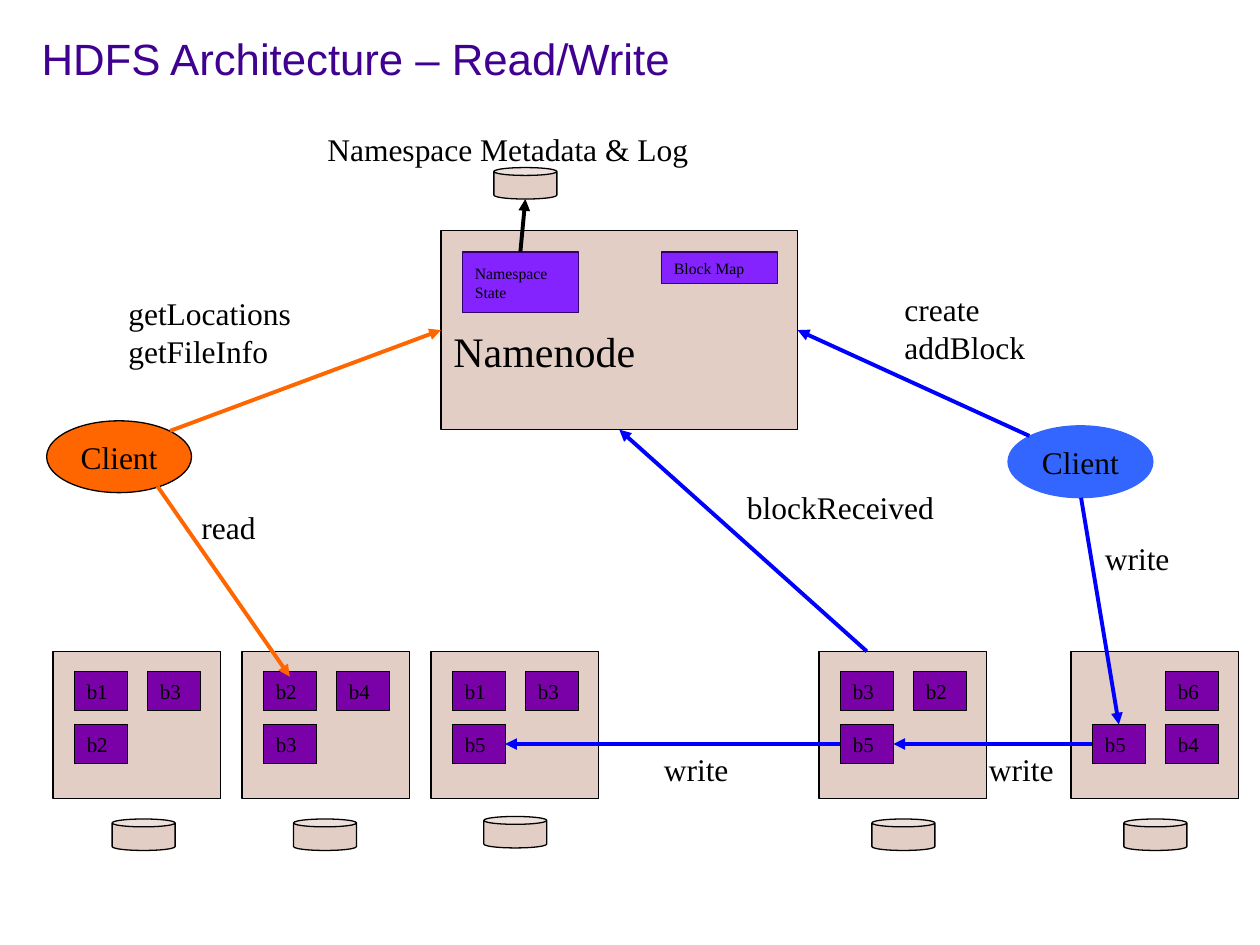
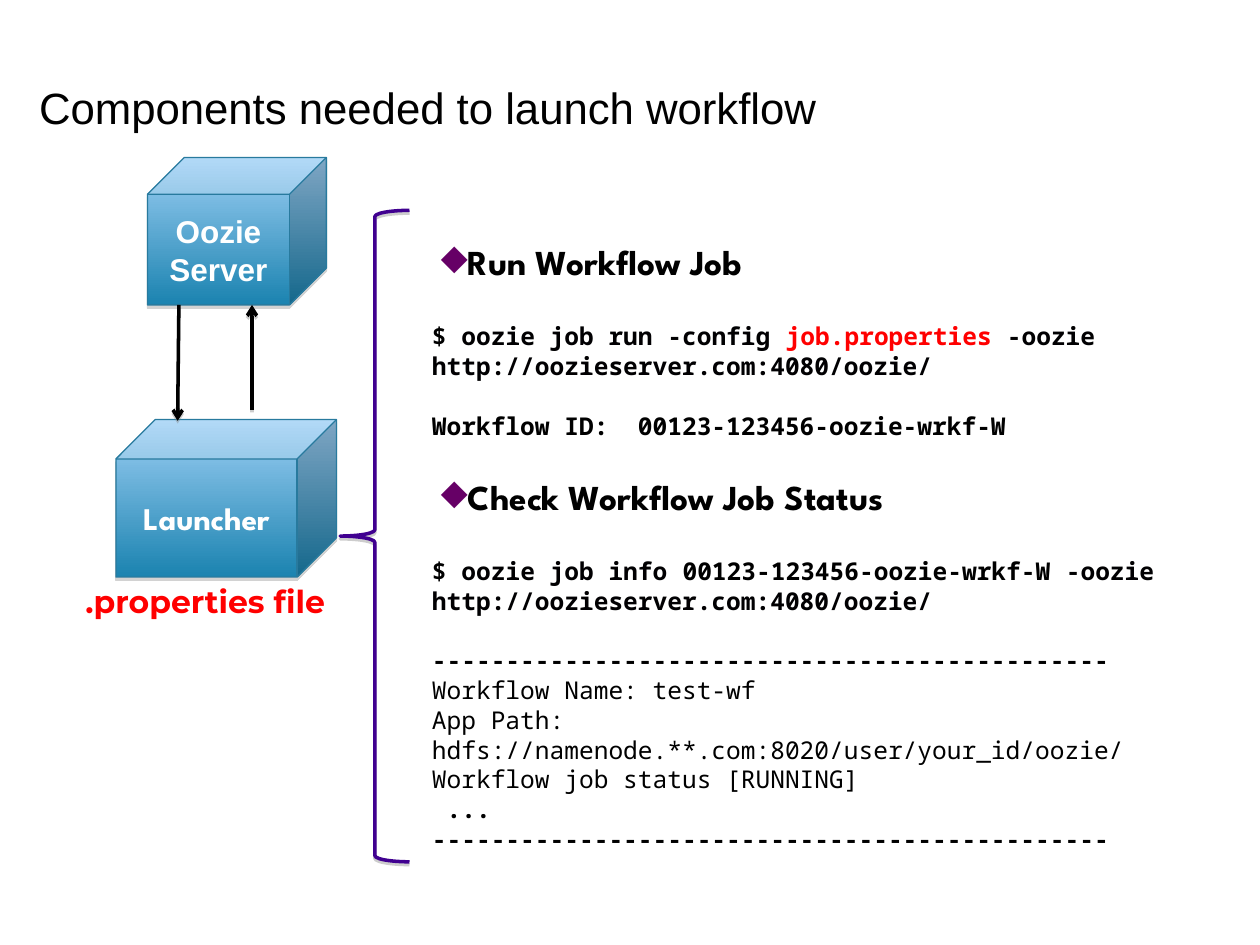
"""Build two slides on HDFS reads and writes and on launching a workflow."""
from dataclasses import dataclass

from lxml import etree
from pptx import Presentation
from pptx.dml.color import RGBColor
from pptx.enum.shapes import MSO_CONNECTOR, MSO_SHAPE
from pptx.enum.text import MSO_ANCHOR, PP_ALIGN
from pptx.oxml.ns import qn
from pptx.util import Inches, Pt

RECTANGLE, OVAL, CAN = MSO_SHAPE.RECTANGLE, MSO_SHAPE.OVAL, MSO_SHAPE.CAN
CUBE, LEFT_BRACE = MSO_SHAPE.CUBE, MSO_SHAPE.LEFT_BRACE
STRAIGHT = MSO_CONNECTOR.STRAIGHT
TOP, MIDDLE, BOTTOM = MSO_ANCHOR.TOP, MSO_ANCHOR.MIDDLE, MSO_ANCHOR.BOTTOM
LEFT, CENTER = PP_ALIGN.LEFT, PP_ALIGN.CENTER
TOP_SIDE, LEFT_SIDE, BOTTOM_SIDE, RIGHT_SIDE = range(4)


@dataclass(frozen=True)
class Theme:
    """Colours, fonts and type sizes of the deck."""
    black: str = "000000"
    white: str = "FFFFFF"
    violet: str = "400090"
    sand: str = "E3CEC6"
    block: str = "7A00A7"
    state: str = "8523FF"
    state_edge: str = "30006C"
    orange: str = "FF6600"
    client_blue: str = "3366FF"
    arrow_blue: str = "0000FF"
    red: str = "FF0000"
    command: str = "010002"
    bullet: str = "660066"
    cube_light: str = "9FD0F5"
    cube_dark: str = "1B83B0"
    cube_edge: str = "287A9E"
    shadow: str = "808080"
    sans: str = "Arial"
    serif: str = "Times New Roman"
    heading: str = "League Spartan"
    accent: str = "Montserrat"
    mono: str = "Noto Sans Mono"
    title_size: float = 25
    node_size: float = 24
    heading_size: float = 20
    label_size: float = 18
    code_size: float = 14
    block_size: float = 12
    state_size: float = 9


THEME = Theme()


def style(name, size, color=THEME.black, bold=False):
    """Return the format values of a run."""
    return {"name": name, "size": Pt(size), "bold": bold, "color": color}


TITLE = style(THEME.sans, THEME.title_size)
LABEL = style(THEME.serif, THEME.label_size)
NODE = style(THEME.serif, THEME.node_size)
BLOCK = style(THEME.serif, THEME.block_size)
STATE = style(THEME.serif, THEME.state_size)
HEADING = style(THEME.heading, THEME.heading_size, bold=True)
OUTPUT = style(THEME.mono, THEME.code_size)
CODE = OUTPUT | {"bold": True}
COMMAND = CODE | {"color": THEME.command}
CUBE_TEXT = style(THEME.sans, THEME.label_size, THEME.white, True)


def rgb(color):
    """Turn a hex string into a colour."""
    return RGBColor.from_string(color)


def add_spans(para, spans):
    """Add (text, style) pairs to a paragraph."""
    for text, values in spans:
        span = para.add_run()
        span.text = text
        for name, value in values.items():
            if name == "color":
                span.font.color.rgb = rgb(value)
            else:
                setattr(span.font, name, value)


def write(box, lines, values, align=LEFT, **frame_values):
    """Write one paragraph per line into a box."""
    frame = box.text_frame
    settings = {"word_wrap": True, "vertical_anchor": MIDDLE} | frame_values
    for name, value in settings.items():
        setattr(frame, name, value)
    for index, line in enumerate(lines):
        para = frame.add_paragraph() if index else frame.paragraphs[0]
        para.alignment = align
        add_spans(para, [(line, values)])


def add_text(page, area, lines, values, **frame_values):
    """Add a text box."""
    box = page.shapes.add_textbox(*map(Inches, area))
    write(box, lines, values, **frame_values)
    return box


def add_title(page, left, top, text, color):
    """Add the slide title."""
    margins = dict.fromkeys(
        ("margin_left", "margin_right", "margin_top", "margin_bottom"), 0)
    add_text(page, (left, top, 9.32, 1.18), [text], TITLE | {"color": color},
             vertical_anchor=TOP, **margins)


def add_figure(page, kind, area, fill=None, edge=THEME.black, width=0.75):
    """Add a preset shape with a plain fill and outline."""
    figure = page.shapes.add_shape(kind, *map(Inches, area))
    figure.shadow.inherit = False
    if fill:
        figure.fill.solid()
        figure.fill.fore_color.rgb = rgb(fill)
    else:
        figure.fill.background()
    figure.line.color.rgb = rgb(edge)
    figure.line.width = Pt(width)
    return figure


def add_shadow(effects, distance, percent):
    """Put a sharp shadow straight below a shape."""
    outer = etree.SubElement(effects, qn("a:outerShdw"), blurRad="0",
                             dist=str(Pt(distance)), dir="5400000", rotWithShape="0")
    color = etree.SubElement(outer, qn("a:srgbClr"), val=THEME.shadow)
    etree.SubElement(color, qn("a:alpha"), val=str(percent * 1000))


def add_arrow(page, start, end, color, width=2.25, head="triangle",
              source=None, target=None):
    """Add an arrow, joined to (shape, side) pairs where given."""
    arrow = page.shapes.add_connector(STRAIGHT, *map(Inches, (*start, *end)))
    if source:
        arrow.begin_connect(*source)
    if target:
        arrow.end_connect(*target)
    arrow.line.color.rgb = rgb(color)
    arrow.line.width = Pt(width)
    properties = arrow._element.spPr
    etree.SubElement(properties.find(qn("a:ln")), qn("a:tailEnd"), type=head)
    return etree.SubElement(properties, qn("a:effectLst"))


def add_can(page, left, top):
    """Add a storage can."""
    add_figure(page, CAN, (left, top, 0.5, 0.25), THEME.sand)


def add_data_node(page, left, names):
    """Add a data node with a two-column grid of blocks and return the blocks."""
    top = 5.17
    add_figure(page, RECTANGLE, (left, top, 1.33, 1.17), THEME.sand)
    blocks = {}
    for index, name in enumerate(names):
        if name:
            row, column = divmod(index, 2)
            area = (left + 0.17 + 0.58 * column, top + 0.16 + 0.42 * row, 0.42, 0.31)
            blocks[name] = add_figure(page, RECTANGLE, area, THEME.block)
            write(blocks[name], [name], BLOCK)
    return blocks


def add_client(page, left, top, fill, edge):
    """Add a client ellipse."""
    client = add_figure(page, OVAL, (left, top, 1.15, 0.57), fill, edge)
    write(client, ["Client"], LABEL, CENTER, word_wrap=False)


def add_cube(page, area, text, values):
    """Add a shaded cube with a caption."""
    cube = add_figure(page, CUBE, area, edge=THEME.cube_edge)
    cube.fill.gradient()
    cube.fill.gradient_angle = 270
    stops = zip(cube.fill.gradient_stops, (THEME.cube_light, THEME.cube_dark), (0, 1))
    for stop, color, position in stops:
        stop.color.rgb = rgb(color)
        stop.position = position
    add_shadow(cube._element.spPr.find(qn("a:effectLst")), 1.8, 35)
    write(cube, [text], values, CENTER)


def add_bullet(para):
    """Give a paragraph a coloured diamond bullet."""
    properties = para._p.get_or_add_pPr()
    properties.set("marL", str(Inches(0.28)))
    properties.set("indent", str(Inches(-0.21)))
    color = etree.SubElement(properties, qn("a:buClr"))
    etree.SubElement(color, qn("a:srgbClr"), val=THEME.bullet)
    etree.SubElement(properties, qn("a:buChar"), char="◆")


def add_console(page, area, entries):
    """Add bulleted headings and console lines from (gap, spans) entries."""
    box = page.shapes.add_textbox(*map(Inches, area))
    frame = box.text_frame
    frame.word_wrap = True
    frame.margin_top = Inches(0.33)
    for index, (gap, spans) in enumerate(entries):
        para = frame.add_paragraph() if index else frame.paragraphs[0]
        is_heading = spans[0][1] is HEADING
        para.line_spacing = Pt(24 if is_heading else 17)
        para.space_before = Pt(gap)
        if is_heading:
            add_bullet(para)
        add_spans(para, spans)


def build_architecture(page):
    """Draw the read and write paths of HDFS."""
    add_title(page, 0.33, 0.25, "HDFS Architecture – Read/Write", THEME.violet)
    nodes = [add_data_node(page, left, names) for left, names in (
        (0.42, ("b1", "b3", "b2")),
        (1.92, ("b2", "b4", "b3")),
        (3.42, ("b1", "b3", "b5")),
        (6.5, ("b3", "b2", "b5")),
        (8.5, (None, "b6", "b5", "b4")),
    )]
    third, fourth, fifth = (node["b5"] for node in nodes[2:])
    add_client(page, 0.37, 3.34, THEME.orange, THEME.black)
    add_client(page, 8, 3.38, THEME.client_blue, THEME.client_blue)

    namenode = add_figure(page, RECTANGLE, (3.5, 1.83, 2.83, 1.58), THEME.sand)
    write(namenode, ["Namenode"], NODE, vertical_anchor=BOTTOM,
          margin_bottom=Inches(0.43))
    state, block_map = (
        add_figure(page, RECTANGLE, area, THEME.state, THEME.state_edge)
        for area in ((3.67, 2, 0.92, 0.48), (5.25, 2, 0.92, 0.25)))
    write(state, ["Namespace", "State"], STATE)
    write(block_map, ["Block Map"], STATE)
    for left, top in ((0.89, 6.5), (2.33, 6.5), (3.84, 6.48), (6.92, 6.5),
                      (8.92, 6.5), (3.92, 1.33)):
        add_can(page, left, top)

    for start, end, color, source, target in (
        ((1.35, 3.42), (3.5, 2.62), THEME.orange, None, (namenode, LEFT_SIDE)),
        ((8.17, 3.46), (6.33, 2.62), THEME.arrow_blue, None, (namenode, RIGHT_SIDE)),
        ((1.25, 3.86), (2.3, 5.37), THEME.orange, None, None),
        ((6.67, 5.91), (4, 5.91), THEME.arrow_blue,
         (fourth, LEFT_SIDE), (third, RIGHT_SIDE)),
        ((8.67, 5.91), (7.08, 5.91), THEME.arrow_blue,
         (fifth, LEFT_SIDE), (fourth, RIGHT_SIDE)),
        ((8.58, 3.95), (8.88, 5.75), THEME.arrow_blue, None, (fifth, TOP_SIDE)),
        ((6.88, 5.17), (4.92, 3.42), THEME.arrow_blue, None, (namenode, BOTTOM_SIDE)),
        ((4.12, 2), (4.17, 1.58), THEME.black, (state, TOP_SIDE), None),
    ):
        add_arrow(page, start, end, color, source=source, target=target)

    for left, top, width, lines in (
        (0.92, 2.28, 1.98, ["getLocations", "getFileInfo"]),
        (7.08, 2.25, 1.33, ["create", "addBlock"]),
        (1.5, 3.98, 1.08, ["read"]),
        (8.67, 4.23, 0.75, ["write"]),
        (7.75, 5.9, 0.75, ["write"]),
        (5.17, 5.9, 0.75, ["write"]),
        (2.5, 0.98, 3.81, ["Namespace Metadata & Log"]),
        (5.83, 3.82, 1.92, ["blockReceived"]),
    ):
        add_text(page, (left, top, width, 0.09 + 0.31 * len(lines)), lines, LABEL)


def build_launch(page):
    """Draw the launcher, the server and the console session."""
    add_title(page, 0.31, 0.64, "Components needed to launch workflow", THEME.black)
    add_cube(page, (0.92, 3.33, 1.75, 1.25), "Launcher",
             CUBE_TEXT | {"name": THEME.heading})
    add_cube(page, (1.17, 1.25, 1.42, 1.17), "Oozie Server", CUBE_TEXT)
    for start, end in (((2, 3.25), (2, 2.42)), ((1.42, 2.42), (1.41, 3.34))):
        add_shadow(add_arrow(page, start, end, THEME.black, 2, "arrow"), 1.6, 38)
    brace = add_figure(page, LEFT_BRACE, (2.7, 1.67, 0.55, 5.17),
                       edge=THEME.violet, width=2)
    brace.adjustments[0] = 0.09
    add_shadow(brace._element.spPr.find(qn("a:effectLst")), 1.6, 38)
    add_text(page, (0.58, 4.57, 3, 1), [".properties file"],
             style(THEME.accent, THEME.label_size, THEME.red, True),
             vertical_anchor=TOP)

    rule = "-" * 46
    server = "-oozie http://oozieserver.com:4080/oozie/"
    job = "00123-123456-oozie-wrkf-W"
    add_console(page, (3.33, 1.58, 6.58, 5.5), (
        (0, [("Run Workflow Job", HEADING)]),
        (22, [("$ ", CODE), ("oozie job run -config ", COMMAND),
              ("job.properties ", CODE | {"color": THEME.red}), (server, COMMAND)]),
        (17, [(f"Workflow ID:  {job}", CODE)]),
        (20, [("Check Workflow Job Status", HEADING)]),
        (22, [("$ ", CODE), ("oozie job info ", COMMAND), (f"{job} ", CODE),
              (server, COMMAND)]),
        (17, [(rule, CODE)]),
        (0, [("Workflow Name: test-wf", OUTPUT)]),
        (0, [("App Path: hdfs://namenode.**.com:8020/user/your_id/oozie/", OUTPUT)]),
        (0, [("Workflow job status [RUNNING]", OUTPUT)]),
        (0, [(" ...", CODE)]),
        (0, [(rule, CODE)]),
    ))


def main():
    """Build and save the deck."""
    deck = Presentation()
    deck.slide_width, deck.slide_height = Inches(10), Inches(7.5)
    for build in (build_architecture, build_launch):
        build(deck.slides.add_slide(deck.slide_layouts[6]))
    deck.save("out.pptx")


if __name__ == "__main__":
    main()
